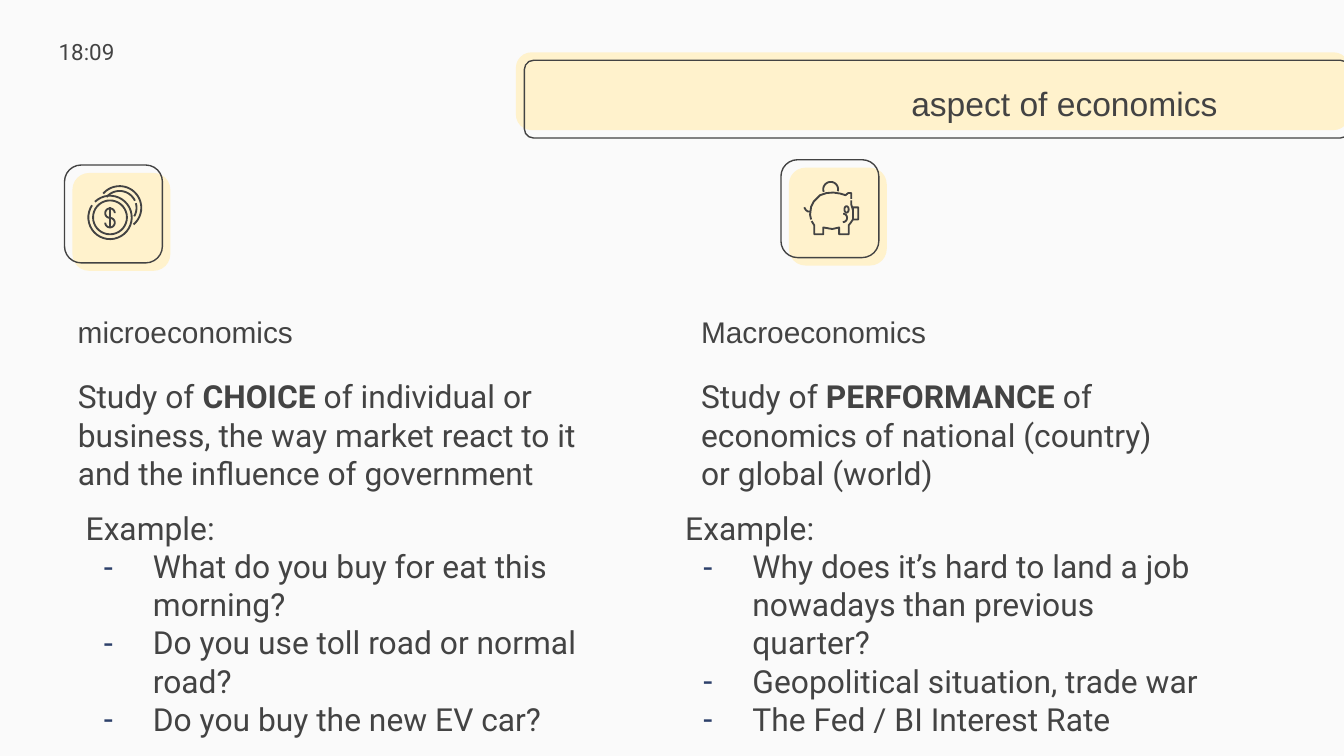
"""Build a slide that compares microeconomics with macroeconomics."""
from math import cos, radians, sin

from lxml.etree import SubElement
from pptx import Presentation
from pptx.dml.color import RGBColor
from pptx.enum.shapes import MSO_SHAPE as Kind
from pptx.enum.text import MSO_ANCHOR as Anchor, MSO_AUTO_SIZE as Fit, PP_ALIGN as Align
from pptx.oxml.ns import qn
from pptx.util import Cm, Pt

INK = RGBColor(0x43, 0x43, 0x43)
CREAM = RGBColor(0xFF, 0xF2, 0xCC)
PAPER = RGBColor(0xFA, 0xFA, 0xFA)
NAVY = RGBColor(0x2D, 0x40, 0x6A)


def arc(x, y, wide, high, start, end):
    """Return points along an elliptic arc, angles in degrees."""
    steps = 36
    turns = [radians(start + (end - start) * i / steps) for i in range(steps + 1)]
    return [(x + wide * cos(t), y + high * sin(t)) for t in turns]


COINS = [
    [arc(0.86, 0.99, 0.41, 0.41, 226, 574)],
    [arc(0.86, 0.99, 0.32, 0.32, 0, 360)],
    [arc(1.04, 0.81, 0.41, 0.41, 221, 410)],
    [arc(1.04, 0.81, 0.32, 0.32, -16, 30)],
    [arc(1.04, 0.81, 0.32, 0.32, 220, 335)],
    [arc(0.86, 0.91, 0.09, 0.09, 0, -270) + arc(0.86, 1.09, 0.09, 0.09, -90, 180),
     [(0.86, 0.8), (0.86, 1.18)]],
]
PIG = [
    [[(1.33, 0.77), (1.33, 0.85), (1.36, 0.95), (1.36, 0.9), (1.46, 0.9), (1.46, 1.13),
      (1.36, 1.13), (1.32, 1.19), (1.28, 1.24), (1.28, 1.41), (1.1, 1.41), (1.1, 1.28),
      (0.97, 1.31), (0.8, 1.28), (0.8, 1.41), (0.63, 1.41), (0.63, 1.24), (0.58, 1.16)],
     [(1.36, 0.9), (1.36, 1.13)]],
    [[(0.44, 0.9), (0.47, 0.95), (0.51, 0.98), (0.55, 0.98)],
     [(0.57, 1.13), (0.55, 1.04), (0.57, 0.89), (0.62, 0.79), (0.74, 0.67), (0.86, 0.63),
      (0.99, 0.62), (1.12, 0.64), (1.22, 0.67), (1.27, 0.63), (1.33, 0.63), (1.33, 0.74)]],
    [arc(1.24, 0.94, 0.04, 0.06, 0, 360)],
    [arc(0.94, 0.56, 0.14, 0.14, 160, 375)],
    [arc(1.17, 1.1, 0.08, 0.08, -85, 90)],
]
TOPICS = [
    {"head": "microeconomics", "left": 1.22, "wide": 9.93,
     "study": ["Study of ", "CHOICE",
               " of individual or business, the way market react to it "
               "and the influence of government"],
     "cases": ["What do you buy for eat this morning?",
               "Do you use toll road or normal road?",
               "Do you buy the new EV car?"],
     "list": (1.37, 11.33), "tile": (1.22, 3.12), "icon": COINS},
    {"head": "Macroeconomics", "left": 13.0, "wide": 9.22,
     "study": ["Study of ", "PERFORMANCE ",
               "of economics of national (country) or global (world)"],
     "cases": ["Why does it’s hard to land a job nowadays than previous quarter?",
               "Geopolitical situation, trade war",
               "The Fed / BI Interest Rate"],
     "list": (12.7, 10.54), "tile": (14.76, 3.02), "icon": PIG},
]
SIDE = 1.85
SHIFT = 0.15

deck = Presentation()
deck.slide_width, deck.slide_height = Cm(25.4), Cm(14.29)
slide = deck.slides.add_slide(deck.slide_layouts.get_by_name("Comparison"))
slide.background.fill.solid()
slide.background.fill.fore_color.rgb = PAPER
shapes = slide.shapes


def paint(shape, fill=None, line=None):
    """Set fill and outline; None means empty."""
    shape.shadow.inherit = False
    if fill:
        shape.fill.solid()
        shape.fill.fore_color.rgb = fill
    else:
        shape.fill.background()
    if line:
        shape.line.color.rgb = INK
        shape.line.width = Pt(line)
    else:
        shape.line.fill.background()


def card(x, y, wide, high, bend, fill=None, line=None):
    """Add a rounded rectangle."""
    box = shapes.add_shape(Kind.ROUNDED_RECTANGLE, Cm(x), Cm(y), Cm(wide), Cm(high))
    box.adjustments[0] = bend
    paint(box, fill, line)


def draw(icon, x, y):
    """Draw each part of an icon as one stroked outline."""
    for part in icon:
        pen = None
        for trail in part:
            dots = [(Cm(x + a), Cm(y + b)) for a, b in trail]
            if pen:
                pen.move_to(*dots[0])
            else:
                pen = shapes.build_freeform(*dots[0])
            pen.add_line_segments(dots[1:], close=False)
        paint(pen.convert_to_shape(), line=1)


def write(box, place, lines, size, face, anchor=Anchor.TOP, align=Align.LEFT):
    """Place a box and fill it; a line is (runs, bulleted)."""
    box.left, box.top, box.width, box.height = map(Cm, place)
    shapes._spTree.append(box._element)
    frame = box.text_frame
    frame.word_wrap, frame.auto_size = True, Fit.NONE
    frame.vertical_anchor = anchor
    frame.margin_left = frame.margin_right = Cm(0.25)
    frame.margin_top = frame.margin_bottom = Cm(0.25)
    for i, (runs, dash) in enumerate(lines):
        para = frame.add_paragraph() if i else frame.paragraphs[0]
        para.alignment = align
        para.space_before = para.space_after = Pt(0)
        props = para._p.get_or_add_pPr()
        props.set("marL", str(Cm(1.27 if dash else 0)))
        props.set("indent", str(Cm(-0.94 if dash else 0)))
        if dash:
            tint = SubElement(props, qn("a:buClr"))
            SubElement(tint, qn("a:srgbClr")).set("val", str(NAVY))
            SubElement(props, qn("a:buChar")).set("char", "-")
        else:
            SubElement(props, qn("a:buNone"))
        font = para.font
        font.size, font.name, font.bold = Pt(size), face, False
        font.color.rgb = INK
        for j, words in enumerate(runs):
            run = para.add_run()
            run.text = words
            if j == 1:
                run.font.bold = True


def label(place, words, size, face, anchor):
    """Add a one-line text box."""
    box = shapes.add_textbox(0, 0, 0, 0)
    write(box, place, [([words], False)], size, face, anchor)


card(9.75, 0.99, 15.75, 1.47, 0.2, fill=CREAM)
card(9.91, 1.14, 15.6, 1.47, 0.12, line=0.75)
write(shapes.title, (14.4, 1.27, 8.86, 1.35), [(["aspect of economics"], False)],
      18, "Arial", Anchor.MIDDLE, Align.RIGHT)
label((0.86, 0.48, 1.85, 1.02), "18:09", 12, "Roboto", Anchor.TOP)

slots = list(slide.placeholders)[1:]
for n, topic in enumerate(TOPICS):
    x, y = topic["tile"]
    card(x + SHIFT, y + SHIFT, SIDE, SIDE, 0.17, fill=CREAM)
    card(x, y, SIDE, SIDE, 0.17, line=0.75)
    draw(topic["icon"], x, y)
    left = topic["left"]
    label((left, 5.79, 7.06, 1.07), topic["head"], 16, "Arial", Anchor.BOTTOM)
    study, cases = slots[2 * n:2 * n + 2]
    write(study, (left, 6.88, topic["wide"], 2.51), [(topic["study"], False)], 17, "Roboto")
    left, wide = topic["list"]
    lines = [(["Example:"], False)] + [([case], True) for case in topic["cases"]]
    write(cases, (left, 9.37, wide, 4.5), lines, 17, "Roboto")

deck.save("out.pptx")
